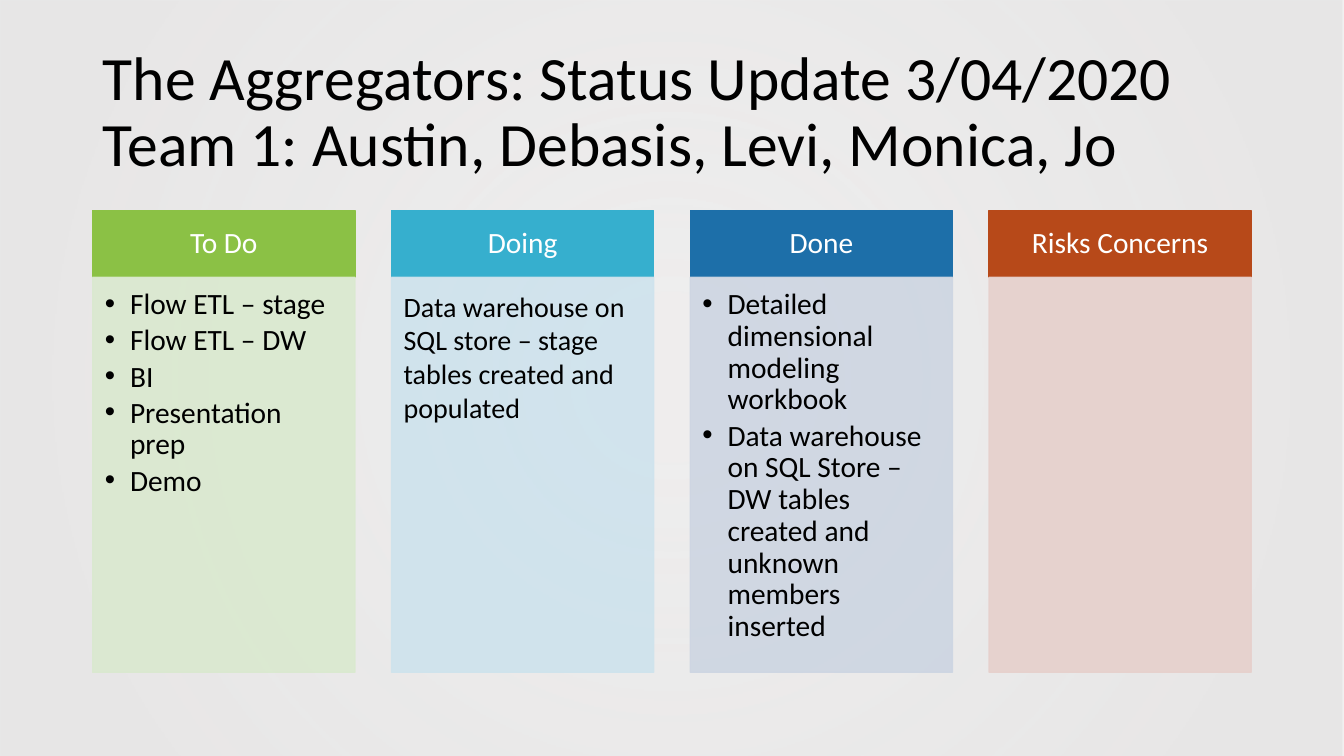
"""Builds a four-column status board slide."""
from dataclasses import dataclass

from lxml import etree
from pptx import Presentation
from pptx import util as u
from pptx.dml.color import RGBColor
from pptx.enum import shapes, text
from pptx.oxml import parse_xml
from pptx.oxml.ns import qn, nsdecls


@dataclass(frozen=True)
class Theme:
    """Colours, font and type sizes of the slide."""
    font: str = "Calibri"
    ink: str = "000000"
    light: str = "FFFFFF"
    back: str = "E7E6E6"
    title: int = 44
    label: int = 21
    note: int = 20


T = Theme()
WIDE, HIGH = 13.33, 7.5
LEFT, SPAN, COL = 0.92, 11.49, 2.6
TOP, HEAD, BODY = 2.09, 0.66, 3.92
TITLE = "The Aggregators: Status Update 3/04/2020\vTeam 1: Austin, Debasis, Levi, Monica, Jo"
BOARD = [
    ("To Do", "8BC145", "DAE9CF", True,
     ["Flow ETL – stage", "Flow ETL – DW", "BI", "Presentation prep", "Demo"]),
    ("Doing", "36AFCE", "CEE3ED", False,
     ["Data warehouse on SQL store – stage tables created and populated"]),
    ("Done", "1D6FA9", "CDD5E2", True,
     ["Detailed dimensional modeling workbook",
      "Data warehouse on SQL Store – DW tables created and unknown members inserted"]),
    ("Risks Concerns", "B74919", "E6D0CC", False, []),
]
STEP = (SPAN - COL) / (len(BOARD) - 1)


def place(item, x, y, w, h):
    """Set the position and size of an item in inches."""
    item.left, item.top, item.width, item.height = map(u.Inches, (x, y, w, h))


def write(item, lines, size, color=T.ink, align=text.PP_ALIGN.LEFT,
          anchor=text.MSO_ANCHOR.TOP, pad=(0.1, 0.05, 0.1, 0.05),
          lead=0.9, after=0, bullet=False):
    """Fill an item with formatted paragraphs."""
    frame = item.text_frame
    frame.word_wrap = True
    frame.auto_size = text.MSO_AUTO_SIZE.NONE
    frame.vertical_anchor = anchor
    (frame.margin_left, frame.margin_top,
     frame.margin_right, frame.margin_bottom) = map(u.Inches, pad)
    for n, line in enumerate(lines):
        para = frame.add_paragraph() if n else frame.paragraphs[0]
        para.text = line
        para.alignment, para.line_spacing = align, lead
        para.space_after = u.Pt(after)
        for run in para.runs:
            run.font.name, run.font.size = T.font, u.Pt(size)
            run.font.color.rgb = RGBColor.from_string(color)
        if bullet:
            mark(para)


def mark(para):
    """Give a paragraph a hanging bullet."""
    props = para._p.get_or_add_pPr()
    props.set("marL", str(u.Inches(0.25)))
    props.set("indent", str(-u.Inches(0.25)))
    etree.SubElement(props, qn("a:buFont")).set("typeface", "Arial")
    etree.SubElement(props, qn("a:buChar")).set("char", "•")


def panel(slide, x, y, w, h, color, alpha=100):
    """Add a flat rectangle with a matching outline."""
    box = slide.shapes.add_shape(shapes.MSO_SHAPE.RECTANGLE, 0, 0, 0, 0)
    place(box, x, y, w, h)
    box.shadow.inherit = False
    box.fill.solid()
    box.fill.fore_color.rgb = box.line.color.rgb = RGBColor.from_string(color)
    box.line.width = u.Pt(1)
    if alpha < 100:
        for tint in box._element.spPr.iter(qn("a:srgbClr")):
            etree.SubElement(tint, qn("a:alpha")).set("val", str(alpha * 1000))
    return box


def backdrop(slide):
    """Add the radial grey backdrop behind everything."""
    box = panel(slide, 0, 0, WIDE, HIGH, T.back)
    box.line.fill.background()
    stops = "".join(
        f'<a:gs pos="{pos}000"><a:srgbClr val="{T.back}">'
        f'<a:alpha val="{alpha}000"/></a:srgbClr></a:gs>'
        for pos, alpha in ((10, 68), (85, 97)))
    grad = parse_xml(
        f'<a:gradFill {nsdecls("a")} rotWithShape="1"><a:gsLst>{stops}</a:gsLst>'
        '<a:path path="circle"><a:fillToRect l="50000" t="50000" r="50000" b="50000"/>'
        '</a:path></a:gradFill>')
    props = box._element.spPr
    props.replace(props.find(qn("a:solidFill")), grad)
    slide.shapes._spTree.insert(2, box._element)


def column(slide, n, name, dark, pale, listed, lines):
    """Add one board column: header above body."""
    x = LEFT + n * STEP
    head = panel(slide, x, TOP, COL, HEAD, dark)
    write(head, [name], T.label, color=T.light, align=text.PP_ALIGN.CENTER,
          anchor=text.MSO_ANCHOR.MIDDLE, pad=(0.16, 0.09, 0.16, 0.09))
    body = panel(slide, x, TOP + HEAD, COL, BODY, pale, alpha=90)
    write(body, lines, T.label if listed else T.note, pad=(0.12, 0.12, 0.16, 0.18),
          lead=0.9 if listed else 1.0, after=3.15 if listed else 0, bullet=listed)


def main():
    """Build and save the slide."""
    deck = Presentation()
    deck.slide_width, deck.slide_height = u.Inches(WIDE), u.Inches(HIGH)
    slide = deck.slides.add_slide(deck.slide_layouts[5])
    backdrop(slide)
    place(slide.shapes.title, LEFT, 0.4, 11.5, 1.45)
    write(slide.shapes.title, [TITLE], T.title, anchor=text.MSO_ANCHOR.MIDDLE)
    for n, item in enumerate(BOARD):
        column(slide, n, *item)
    deck.save("out.pptx")


if __name__ == "__main__":
    main()
